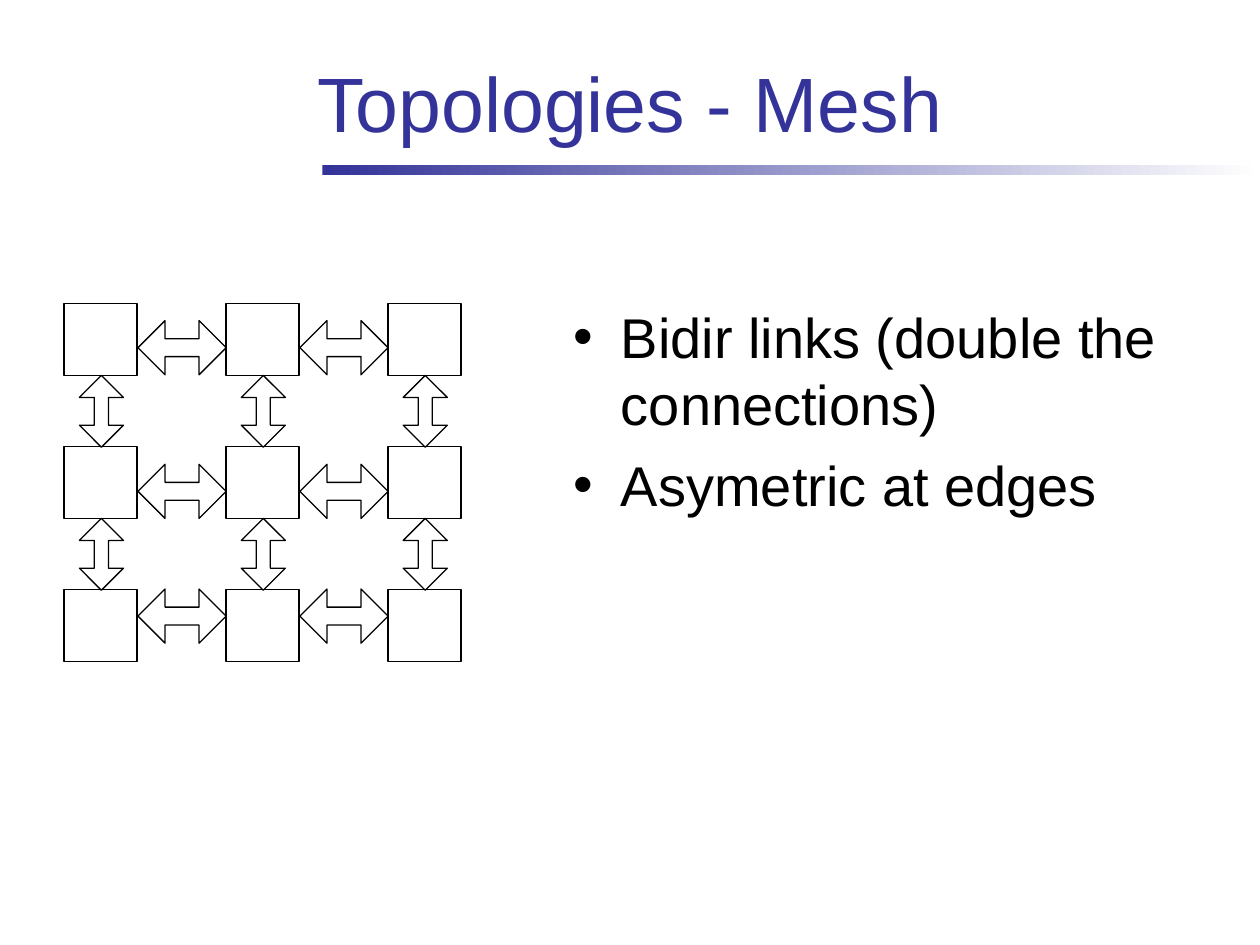
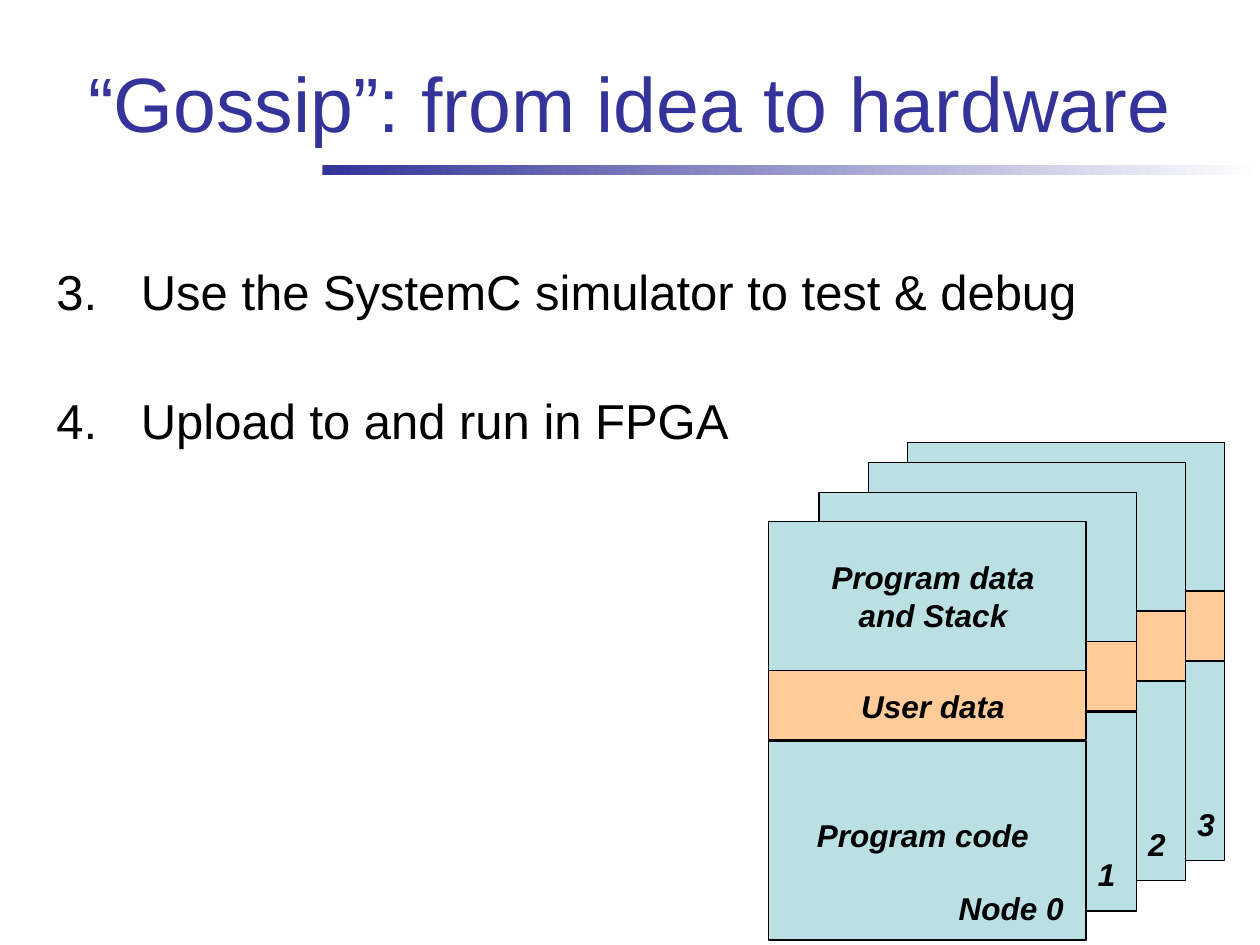
"""Build two slides: a mesh topology and the node memory stack."""
from dataclasses import dataclass

from lxml.etree import SubElement
from pptx import Presentation
from pptx.dml.color import RGBColor
from pptx.enum.shapes import MSO_SHAPE
from pptx.enum.text import MSO_ANCHOR, PP_ALIGN
from pptx.oxml.ns import qn
from pptx.util import Inches, Pt


@dataclass(frozen=True)
class Theme:
    font: str = "Arial"
    navy: str = "333399"
    black: str = "000000"
    white: str = "FFFFFF"
    teal: str = "BBE0E3"
    peach: str = "FFCC99"
    head: int = 44
    large: int = 32
    body: int = 28
    label: int = 18
    thin: float = 0.75
    thick: float = 1


def shade(code):
    return RGBColor.from_string(code)


def apply(target, values):
    for key, value in values.items():
        setattr(target, key, value)


def place(*sides):
    return [Inches(side) for side in sides]


class Deck:
    def __init__(self, theme):
        self.theme = theme
        self.deck = Presentation()
        apply(self.deck, {"slide_width": Inches(10), "slide_height": Inches(7.5)})
        self.slide = None

    def start(self, title):
        self.slide = self.deck.slides.add_slide(self.deck.slide_layouts[5])
        self.band()
        head = self.slide.shapes.title
        left, top, width, height = place(0.5, 0.3, 9, 1.01)
        apply(head, {"left": left, "top": top, "width": width, "height": height})
        apply(head.text_frame, {"vertical_anchor": MSO_ANCHOR.MIDDLE, "word_wrap": True})
        self.words(head.text_frame.paragraphs[0], title, self.theme.head,
                   PP_ALIGN.CENTER, self.theme.navy)

    def band(self):
        bar = self.slide.shapes.add_shape(MSO_SHAPE.RECTANGLE, *place(2.56, 1.31, 7.44, 0.08))
        bar.shadow.inherit = False
        bar.line.fill.background()
        bar.fill.gradient()
        bar.fill.gradient_angle = 0
        for stop, code in zip(bar.fill.gradient_stops, (self.theme.navy, self.theme.white)):
            stop.color.rgb = shade(code)

    def words(self, para, text, size, align, color=None, **style):
        para.alignment = align
        run = para.add_run()
        run.text = text
        apply(run.font, {"name": self.theme.font, "size": Pt(size), **style})
        run.font.color.rgb = shade(color or self.theme.black)

    def shape(self, kind, box, fill, line, turn=0, points=()):
        item = self.slide.shapes.add_shape(kind, *place(*box))
        item.shadow.inherit = False
        item.fill.solid()
        item.fill.fore_color.rgb = shade(fill)
        item.line.color.rgb = shade(self.theme.black)
        item.line.width = Pt(line)
        item.rotation = turn
        for index, point in enumerate(points):
            item.adjustments[index] = point

    def frame(self, box):
        frame = self.slide.shapes.add_textbox(*place(*box)).text_frame
        frame.word_wrap = True
        return frame

    def label(self, box, text, align=PP_ALIGN.CENTER):
        self.words(self.frame(box).paragraphs[0], text, self.theme.label, align,
                   bold=True, italic=True)

    def items(self, box, lines, size, indent, gap, mark, **values):
        frame = self.frame(box)
        for index, line in enumerate(lines):
            para = frame.add_paragraph() if index else frame.paragraphs[0]
            self.words(para, line, size, PP_ALIGN.LEFT)
            para.space_before = Pt(gap if index else 0)
            props = para._p.get_or_add_pPr()
            props.set("marL", str(Inches(indent)))
            props.set("indent", str(-Inches(indent)))
            SubElement(props, qn("a:buFont"), typeface=self.theme.font)
            SubElement(props, qn(mark), **values)


def mesh(deck):
    theme = deck.theme
    deck.start("Topologies - Mesh")
    deck.items((4.45, 2.35, 4.97, 4.16),
               ["Bidir links (double the connections)", "Asymetric at edges"],
               theme.large, 0.38, 8, "a:buChar", char="•")
    wide, high = 0.58, 0.57
    cols = [0.51 + 2.57 / 2 * step for step in range(3)]
    rows = [2.41 + 2.27 / 2 * step for step in range(3)]
    for top in rows:
        for left in cols:
            deck.shape(MSO_SHAPE.RECTANGLE, (left, top, wide, high), theme.white, theme.thick)
    for left in cols:
        for top in rows[:-1]:
            deck.shape(MSO_SHAPE.UP_DOWN_ARROW, (left + 0.12, top + high, 0.35, high),
                       theme.white, theme.thin, points=(0.5, 0.32))
    for top in (2.41, 3.55, 4.54):
        for left in cols[:-1]:
            deck.shape(MSO_SHAPE.UP_DOWN_ARROW, (left + 0.72, top, 0.43, 0.7),
                       theme.white, theme.thin, turn=90, points=(0.5, 0.33))


def gossip(deck):
    theme = deck.theme
    deck.start("“Gossip”: from idea to hardware")
    parts = ((1.74, 1.58, theme.teal), (1.18, 0.55, theme.peach), (0, 1.18, theme.teal))
    nodes = ((7.2, 3.51, "3", 9.39), (6.89, 3.67, "2", 9),
             (6.5, 3.91, "1", 8.6), (6.1, 4.14, "", 0))
    for left, top, name, side in nodes:
        for drop, high, fill in parts:
            deck.shape(MSO_SHAPE.RECTANGLE, (left, top + drop, 2.52, high), fill, theme.thin)
        if name:
            deck.label((side, top + 2.83, 0.35, 0.4), name, PP_ALIGN.RIGHT)
    deck.label((6.26, 6.43, 2.13, 0.4), "Program code")
    deck.label((6.34, 5.4, 2.13, 0.4), "User data")
    deck.label((6.34, 4.38, 2.13, 0.7), "Program data and Stack")
    deck.label((7.2, 7.01, 1.34, 0.4), "Node 0", PP_ALIGN.RIGHT)
    deck.items((0.35, 2.03, 9, 4.59),
               ["Use the SystemC simulator to test & debug", "Upload to and run in FPGA"],
               theme.body, 0.67, 40, "a:buAutoNum", type="arabicPeriod", startAt="3")


def main():
    show = Deck(Theme())
    mesh(show)
    gossip(show)
    show.deck.save("out.pptx")


if __name__ == "__main__":
    main()
